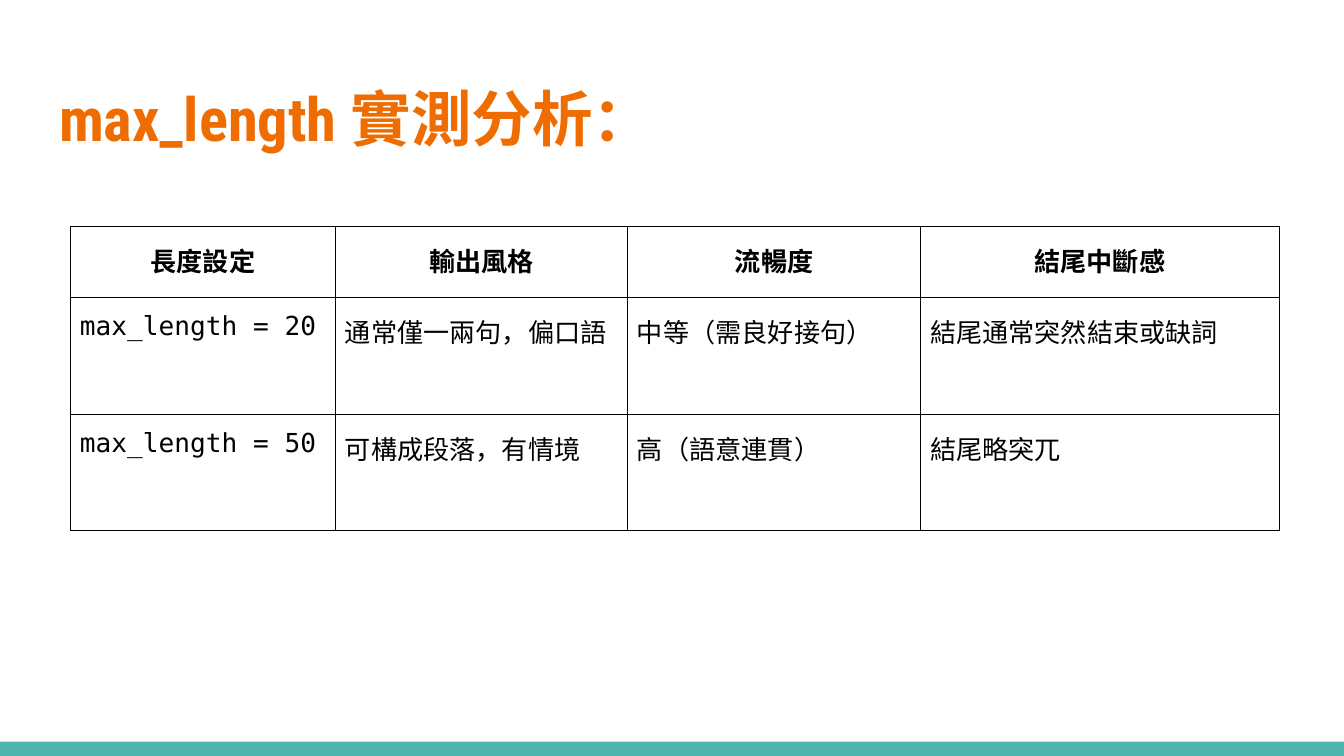
import pptx
import pptx.dml.color
import pptx.enum.shapes
import pptx.enum.text
import pptx.oxml
import pptx.oxml.ns
import pptx.util

Pt = pptx.util.Pt

TITLE = "max_length 實測分析："
ROWS = [
    ("長度設定", "輸出風格", "流暢度", "結尾中斷感"),
    ("max_length = 20", "通常僅一兩句，偏口語", "中等（需良好接句）", "結尾通常突然結束或缺詞"),
    ("max_length = 50", "可構成段落，有情境", "高（語意連貫）", "結尾略突兀"),
]
COLORS = {"title": "EF6C00", "text": "000000", "border": "000000", "bar": "4DB6AC"}
SLIDE_WIDTH, SLIDE_HEIGHT, BAR_HEIGHT = 720, 405, 7.6
COLUMN_WIDTHS = (142, 156.5, 157, 192)
ROW_HEIGHTS = (38, 62.5, 62.5)
TABLE_LEFT, TABLE_TOP = 37.8, 121.3
CELL_MARGIN = 5


def rgb(name):
    return pptx.dml.color.RGBColor.from_string(COLORS[name])


def set_margins(target, margin):
    target.margin_left = target.margin_right = Pt(margin)
    target.margin_top = target.margin_bottom = Pt(margin)


def style_font(font, name, size, color, bold):
    font.name, font.size, font.bold = name, Pt(size), bold
    font.color.rgb = rgb(color)


def add_borders(cell):
    """Draw the four cell borders; they must precede the fill in the cell's XML."""
    properties = cell._tc.get_or_add_tcPr()
    for position, side in enumerate(("lnL", "lnR", "lnT", "lnB")):
        properties.insert(position, pptx.oxml.parse_xml(
            f'<a:{side} {pptx.oxml.ns.nsdecls("a")} w="{Pt(0.5)}"><a:solidFill>'
            f'<a:srgbClr val="{COLORS["border"]}"/></a:solidFill></a:{side}>'))


def add_bar(page):
    bar = page.shapes.add_shape(
        pptx.enum.shapes.MSO_SHAPE.RECTANGLE,
        0, Pt(SLIDE_HEIGHT - BAR_HEIGHT), Pt(SLIDE_WIDTH), Pt(BAR_HEIGHT))
    bar.shadow.inherit = False
    bar.fill.solid()
    bar.fill.fore_color.rgb = rgb("bar")
    bar.line.fill.background()


def format_title(title):
    title.left, title.top, title.width, title.height = Pt(24.5), Pt(35), Pt(671), Pt(55.5)
    frame = title.text_frame
    frame.text = TITLE
    frame.word_wrap = True
    frame.auto_size = pptx.enum.text.MSO_AUTO_SIZE.NONE
    frame.vertical_anchor = pptx.enum.text.MSO_ANCHOR.MIDDLE
    set_margins(frame, 7.2)
    para = frame.paragraphs[0]
    para.alignment = pptx.enum.text.PP_ALIGN.LEFT
    style_font(para.font, "Roboto Condensed", 32.4, "title", True)


def fill_cell(cell, text, is_header, is_code):
    cell.text = text
    set_margins(cell, CELL_MARGIN)
    cell.vertical_anchor = pptx.enum.text.MSO_ANCHOR.TOP
    cell.fill.background()
    add_borders(cell)
    para = cell.text_frame.paragraphs[0]
    para.line_spacing = 1.15
    align = pptx.enum.text.PP_ALIGN
    para.alignment = align.CENTER if is_header else align.LEFT
    style_font(para.font, "DejaVu Sans Mono" if is_code else "Arial", 14, "text", is_header)


def add_length_table(page):
    table = page.shapes.add_table(
        len(ROWS), len(COLUMN_WIDTHS), Pt(TABLE_LEFT), Pt(TABLE_TOP),
        Pt(sum(COLUMN_WIDTHS)), Pt(sum(ROW_HEIGHTS))).table
    table.horz_banding = False
    for column, width in zip(table.columns, COLUMN_WIDTHS):
        column.width = Pt(width)
    for row_index, (row, height) in enumerate(zip(table.rows, ROW_HEIGHTS)):
        row.height = Pt(height)
        for column_index, text in enumerate(ROWS[row_index]):
            is_header = row_index == 0
            fill_cell(table.cell(row_index, column_index), text, is_header,
                      is_code=column_index == 0 and not is_header)


def main():
    deck = pptx.Presentation()
    deck.slide_width, deck.slide_height = Pt(SLIDE_WIDTH), Pt(SLIDE_HEIGHT)
    page = deck.slides.add_slide(deck.slide_layouts.get_by_name("Title Only"))
    add_bar(page)
    format_title(page.shapes.title)
    add_length_table(page)
    deck.save("out.pptx")


if __name__ == "__main__":
    main()
